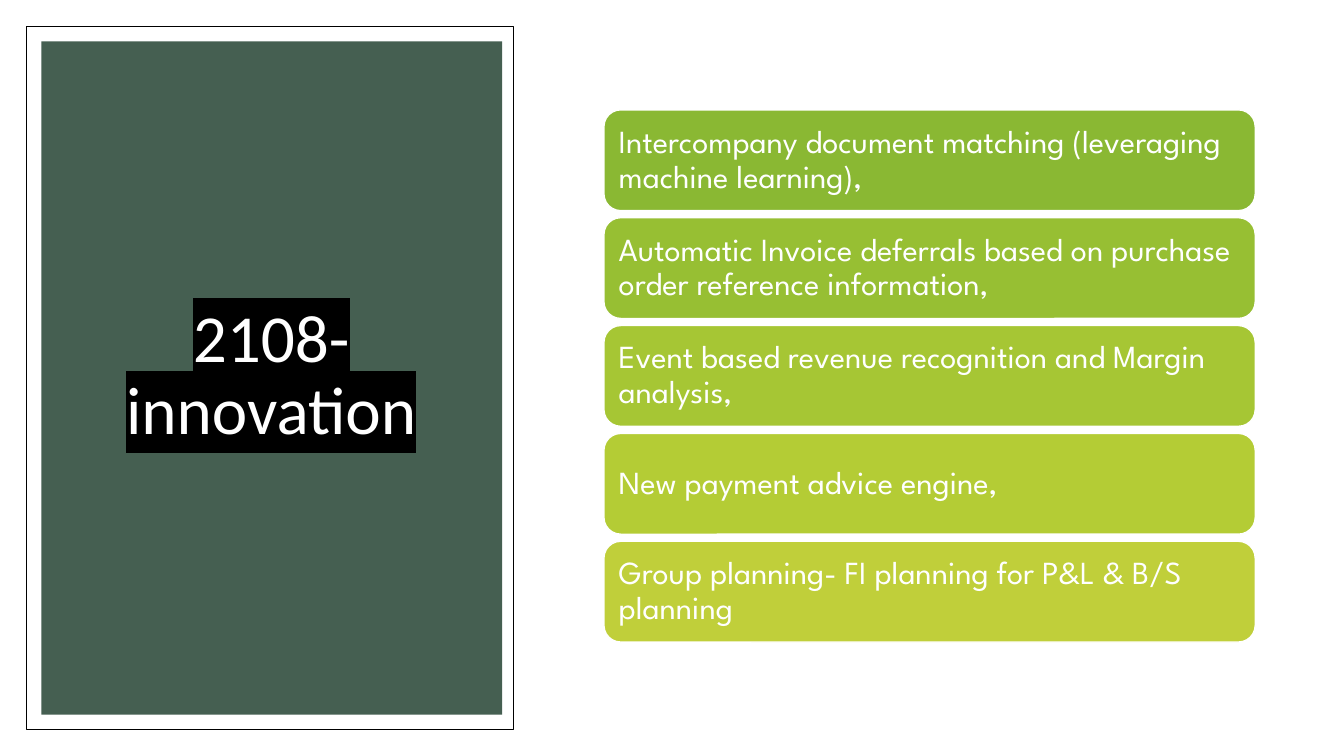
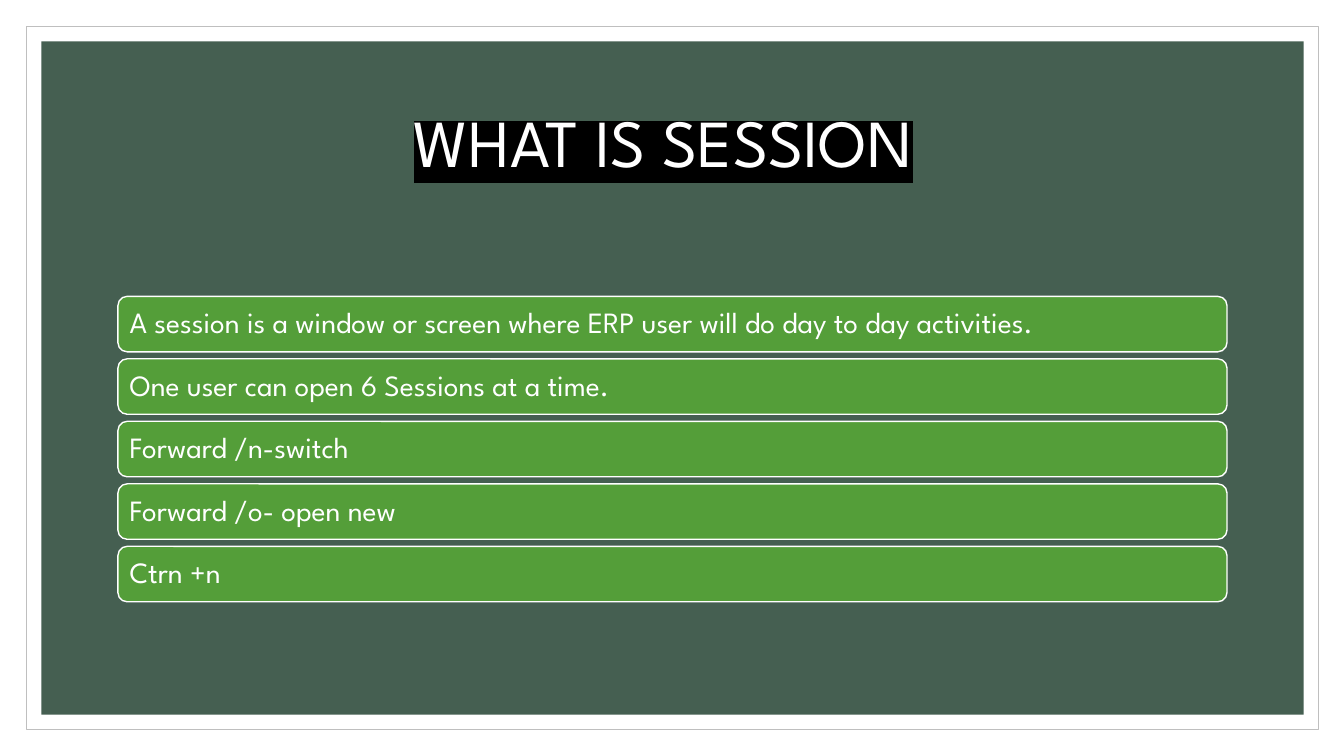
"""Build two framed slides, each with a highlighted title and a stack of rounded bars."""
from dataclasses import dataclass

from lxml import etree
from pptx import Presentation
from pptx.dml.color import RGBColor
from pptx.enum import shapes, text
from pptx.oxml.ns import qn
from pptx.util import Inches, Pt

COLORS = {
    "white": "FFFFFF", "black": "000000", "grey": "BFBFBF", "panel": "455F51",
    "green": "549E39", "lime1": "8AB833", "lime2": "97BF33", "lime3": "A6C634",
    "lime4": "B4CC35", "lime5": "C0CF3A",
}
BODY_FONT = "League Spartan"
FRAME_MARGIN, PANEL_MARGIN = 0.26, 0.41
SLIDE_W, SLIDE_H = 13.33, 7.5


@dataclass
class Box:
    left: float
    top: float
    width: float
    height: float

    def emu(self):
        return [Inches(v) for v in (self.left, self.top, self.width, self.height)]


@dataclass
class Title:
    text: str
    box: Box
    font: str


@dataclass
class Stack:
    first: Box
    pitch: float
    inset: float
    size: int
    bars: list[tuple[str, str]]


@dataclass
class Page:
    frame_width: float
    panel_width: float
    frame_line: str
    title: Title
    stack: Stack


def rgb(name: str) -> RGBColor:
    return RGBColor.from_string(COLORS[name])


def add_box(slide, kind, box: Box, fill: str, line: str | None = None, weight: float = 1):
    sp = slide.shapes.add_shape(kind, *box.emu())
    sp.shadow.inherit = False
    sp.fill.solid()
    sp.fill.fore_color.rgb = rgb(fill)
    if line:
        sp.line.color.rgb = rgb(line)
        sp.line.width = Pt(weight)
    else:
        sp.line.fill.background()
    return sp


def write(sp, content: str, font: str, size: float, align, inset: float):
    tf = sp.text_frame
    tf.text = content
    tf.word_wrap = True
    tf.vertical_anchor = text.MSO_ANCHOR.MIDDLE
    tf.margin_left = tf.margin_right = tf.margin_top = tf.margin_bottom = Inches(inset)
    p = tf.paragraphs[0]
    p.alignment = align
    p.line_spacing = 0.9
    r = p.runs[0]
    r.font.size = Pt(size)
    r.font.color.rgb = rgb("white")
    r.font.name = font
    return r


def add_frame(slide, page: Page) -> None:
    rect = shapes.MSO_SHAPE.RECTANGLE
    frame, panel = (
        Box(m, m, w, SLIDE_H - 2 * m)
        for m, w in ((FRAME_MARGIN, page.frame_width), (PANEL_MARGIN, page.panel_width))
    )
    add_box(slide, rect, frame, "white", page.frame_line, 0.5)
    add_box(slide, rect, panel, "panel")


def add_title(slide, title: Title) -> None:
    sp = slide.shapes.add_textbox(*title.box.emu())
    r = write(sp, title.text, title.font, 48, text.PP_ALIGN.CENTER, 0.1)
    highlight = etree.Element(qn("a:highlight"))
    etree.SubElement(highlight, qn("a:srgbClr"), val=COLORS["black"])
    r.font._element.find(qn("a:latin")).addprevious(highlight)


def add_stack(slide, stack: Stack) -> None:
    first = stack.first
    for i, (content, fill) in enumerate(stack.bars):
        box = Box(first.left, first.top + i * stack.pitch, first.width, first.height)
        sp = add_box(slide, shapes.MSO_SHAPE.ROUNDED_RECTANGLE, box, fill, "white")
        write(sp, content, BODY_FONT, stack.size, text.PP_ALIGN.LEFT, stack.inset)


PAGES = [
    Page(
        4.83, 4.57, "black",
        Title("2108- innovation", Box(0.63, 0.74, 4.12, 5.99), "Calibri"),
        Stack(Box(5.99, 1.09, 6.46, 1), 1.07, 0.1, 23, [
            ("Intercompany document matching (leveraging machine learning),", "lime1"),
            ("Automatic Invoice deferrals based on purchase order reference information,", "lime2"),
            ("Event based revenue recognition and Margin analysis,", "lime3"),
            ("New payment advice engine,", "lime4"),
            ("Group planning- FI planning for P&L & B/S planning", "lime5"),
        ]),
    ),
    Page(
        12.82, 12.52, "grey",
        Title("WHAT IS SESSION", Box(1.08, 0.7, 11, 1.5), BODY_FONT),
        Stack(Box(1.17, 2.94, 11, 0.55), 0.62, 0.09, 21, [
            ("A session is a window or screen where ERP user will do day to day activities.", "green"),
            ("One user can open 6 Sessions at a time.", "green"),
            ("Forward /n-switch", "green"),
            ("Forward /o- open new", "green"),
            ("Ctrn +n", "green"),
        ]),
    ),
]


def main() -> None:
    prs = Presentation()
    prs.slide_width, prs.slide_height = Inches(SLIDE_W), Inches(SLIDE_H)
    for page in PAGES:
        slide = prs.slides.add_slide(prs.slide_layouts[6])
        add_frame(slide, page)
        add_title(slide, page.title)
        add_stack(slide, page.stack)
    prs.save("out.pptx")


if __name__ == "__main__":
    main()
